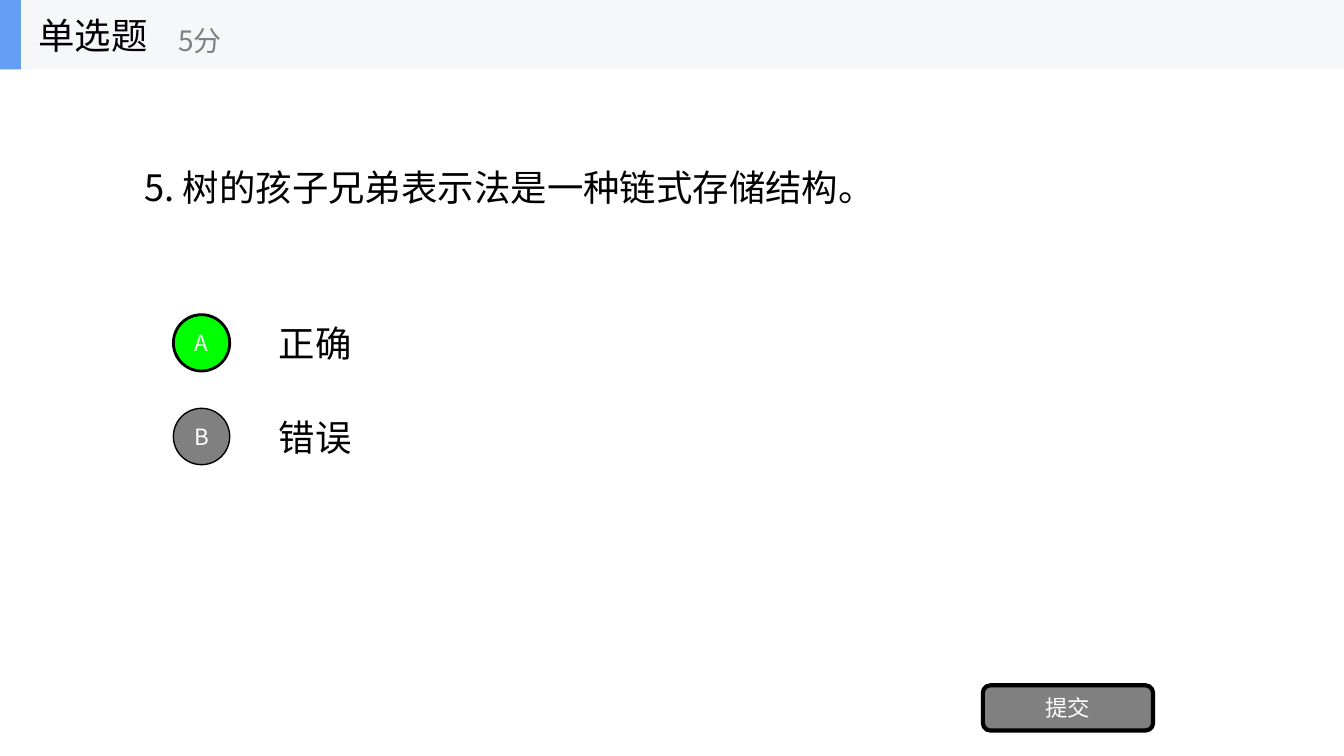
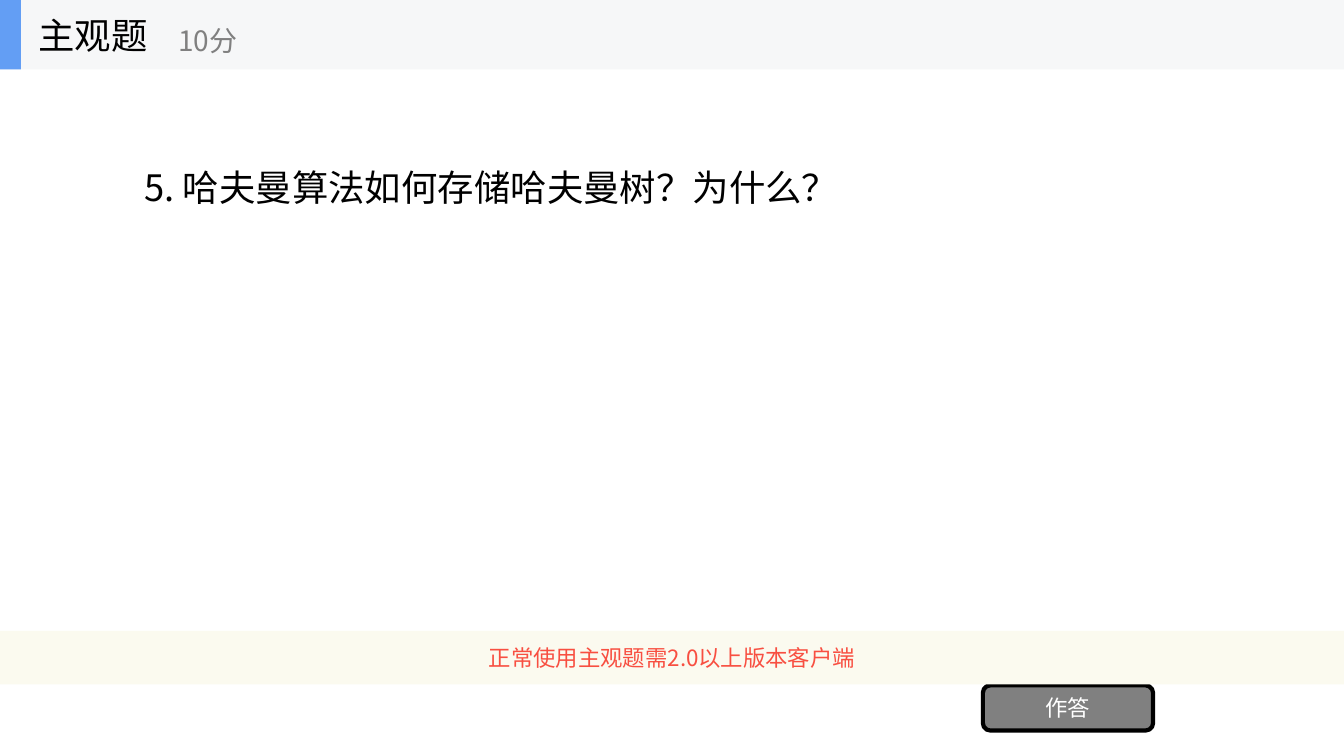
from dataclasses import dataclass

from lxml.etree import SubElement
from pptx import Presentation
from pptx.dml.color import RGBColor
from pptx.enum.shapes import MSO_SHAPE
from pptx.enum.text import MSO_ANCHOR, MSO_AUTO_SIZE, PP_ALIGN
from pptx.oxml.ns import qn
from pptx.util import Cm, Pt


@dataclass(frozen=True)
class Theme:
    """Colours, font and type sizes of the quiz slides."""
    font: str = "Noto Sans CJK SC"
    ink: str = "000000"
    paper: str = "FFFFFF"
    muted: str = "808080"
    correct: str = "00FF00"
    band: str = "F6F7F8"
    accent: str = "639EF4"
    notice: str = "FBFAEF"
    warning: str = "F84F41"
    body: int = 26
    score: int = 20
    small: int = 16


@dataclass(frozen=True)
class Box:
    """A rectangle in centimetres."""
    left: float
    top: float
    width: float
    height: float

    def inner(self, left, top, width, height):
        """Return a box given relative to this one."""
        return Box(self.left + left, self.top + top, width, height)

    def lengths(self):
        """Return the four sides as slide lengths."""
        return Cm(self.left), Cm(self.top), Cm(self.width), Cm(self.height)


THEME = Theme()
PAGE = Box(0, 0, 33.87, 19.05)
HEADER = PAGE.inner(0, 0, PAGE.width, 1.75)
QUESTION = PAGE.inner(3.39, 1.75, 27.1, 5.94)
OPTIONS = PAGE.inner(4.37, 7.75, 26.12, 4.14)
NOTICE = PAGE.inner(0, 15.9, PAGE.width, 1.35)
BUTTON = PAGE.inner(24.77, 17.27, 4.29, 1.14)
OPTION_HEIGHT = 1.78
OPTION_PITCH = 2.36
BUBBLE = 1.42


def write(frame, words, size, color, align=PP_ALIGN.LEFT):
    """Write one vertically centred line into a text frame."""
    frame.word_wrap = True
    frame.auto_size = MSO_AUTO_SIZE.NONE
    frame.vertical_anchor = MSO_ANCHOR.MIDDLE
    paragraph = frame.paragraphs[0]
    paragraph.alignment = align
    run = paragraph.add_run()
    run.text = words
    run.font.size = Pt(size)
    run.font.color.rgb = RGBColor.from_string(color)
    run.font.name = THEME.font
    SubElement(run.font._element, qn("a:ea"), typeface=THEME.font)


def add_label(slide, box, words, size=THEME.body, color=THEME.ink):
    """Place plain text in a box."""
    label = slide.shapes.add_textbox(*box.lengths())
    write(label.text_frame, words, size, color)


def add_panel(slide, box, fill, kind=MSO_SHAPE.RECTANGLE, outline=0,
              words="", color=THEME.paper):
    """Place a filled shape with an optional outline and centred text."""
    panel = slide.shapes.add_shape(kind, *box.lengths())
    panel.shadow.inherit = False
    panel.fill.solid()
    panel.fill.fore_color.rgb = RGBColor.from_string(fill)
    if outline:
        panel.line.color.rgb = RGBColor.from_string(THEME.ink)
        panel.line.width = Pt(outline)
    else:
        panel.line.fill.background()
    if words:
        frame = panel.text_frame
        frame.margin_left = frame.margin_right = 0
        frame.margin_top = frame.margin_bottom = 0
        write(frame, words, THEME.small, color, PP_ALIGN.CENTER)
    return panel


def furnish_layout(layout, slide, box):
    """Put the shared header band on the layout, behind its title."""
    for holder in list(layout.placeholders):
        if holder.placeholder_format.idx:
            layout.placeholders.element.remove(holder.element)
    band = add_panel(slide, box, THEME.band)
    accent = add_panel(slide, box.inner(0, 0, 0.53, box.height), THEME.accent)
    for position, part in enumerate((band, accent), start=2):
        layout.shapes.element.insert(position, part.element)


def add_header(slide, box, kind, score):
    """Place the question type as title and its score beside it."""
    title = slide.shapes.title
    title.left, title.top, title.width, title.height = box.inner(
        0.71, 0, 5.28, box.height).lengths()
    write(title.text_frame, kind, THEME.body, THEME.ink)
    add_label(slide, box.inner(4.24, 0.3, 6.35, 1.42), score,
              THEME.score, THEME.muted)


def add_options(slide, box, answers, correct):
    """Stack lettered answers, marking the correct one."""
    for row, (letter, answer) in enumerate(answers):
        top = row * OPTION_PITCH
        add_label(slide, box.inner(2.41, top, box.width - 2.41, OPTION_HEIGHT), answer)
        chosen = letter == correct
        bubble = box.inner(0, top + (OPTION_HEIGHT - BUBBLE) / 2, BUBBLE, BUBBLE)
        add_panel(slide, bubble, THEME.correct if chosen else THEME.muted,
                  MSO_SHAPE.OVAL, 2 if chosen else 1, letter)


def add_button(slide, box, words):
    """Place the action button."""
    add_panel(slide, box, THEME.muted, MSO_SHAPE.ROUNDED_RECTANGLE, 3, words)


def fill_choice(slide):
    """Fill the single-choice slide."""
    add_header(slide, HEADER, "单选题", "5分")
    add_label(slide, QUESTION, "5. 树的孩子兄弟表示法是一种链式存储结构。")
    add_options(slide, OPTIONS, (("A", "正确"), ("B", "错误")), "A")
    add_button(slide, BUTTON, "提交")


def fill_essay(slide):
    """Fill the open-question slide."""
    add_header(slide, HEADER, "主观题", "10分")
    add_label(slide, QUESTION, "5. 哈夫曼算法如何存储哈夫曼树？为什么？")
    add_button(slide, BUTTON, "作答")
    add_panel(slide, NOTICE, THEME.notice,
              words="正常使用主观题需2.0以上版本客户端", color=THEME.warning)


def main():
    """Build and save the quiz."""
    deck = Presentation()
    deck.slide_width, deck.slide_height = Cm(PAGE.width), Cm(PAGE.height)
    layout = deck.slide_layouts[5]
    choice, essay = (deck.slides.add_slide(layout) for _ in range(2))
    furnish_layout(layout, choice, HEADER)
    fill_choice(choice)
    fill_essay(essay)
    deck.save("out.pptx")


if __name__ == "__main__":
    main()
